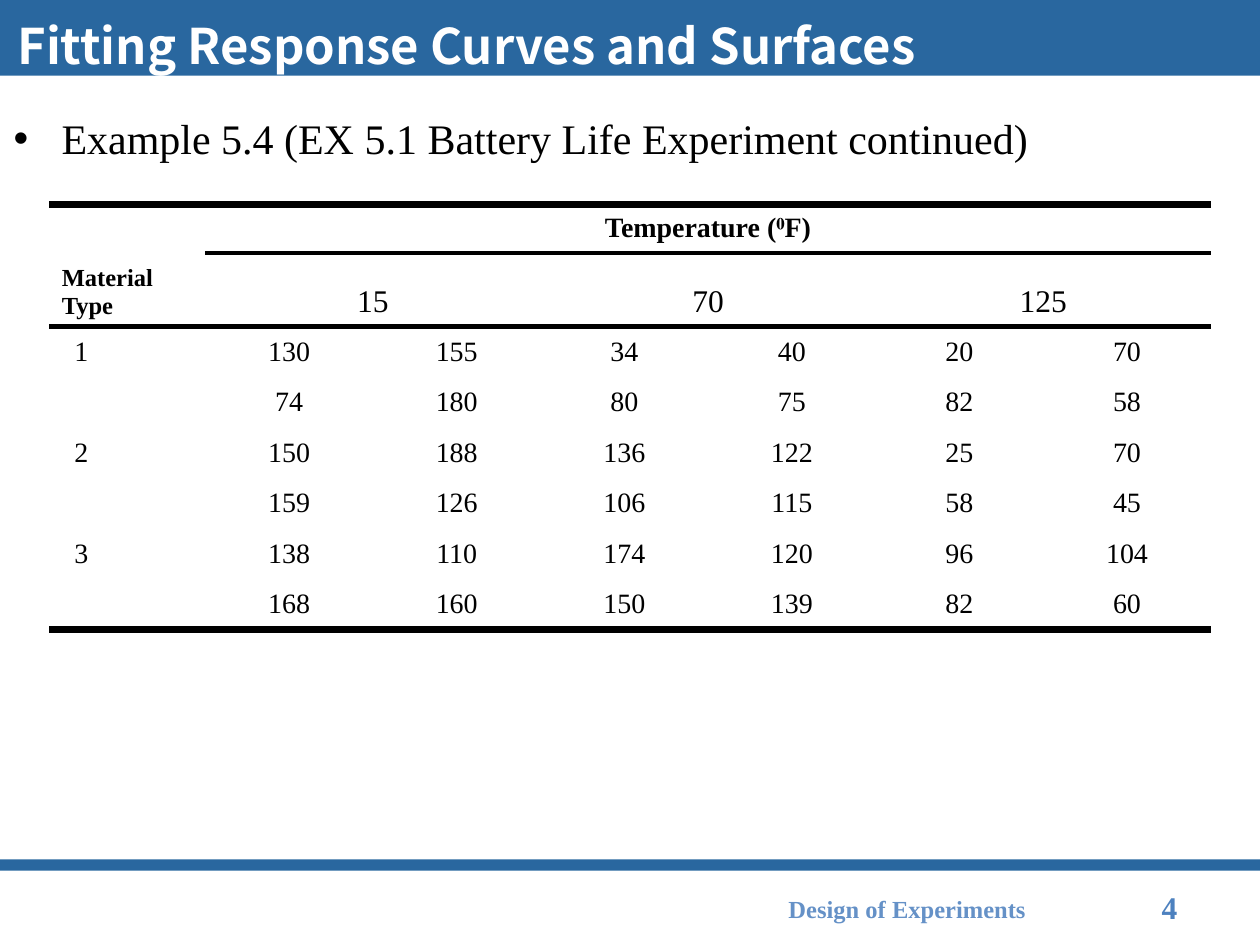
from lxml import etree
from pptx import Presentation
from pptx.dml.color import RGBColor
from pptx.enum.shapes import MSO_SHAPE
from pptx.enum.text import MSO_ANCHOR, PP_ALIGN
from pptx.oxml.ns import qn
from pptx.util import Inches, Pt

RECTANGLE = MSO_SHAPE.RECTANGLE
LEFT, CENTER = PP_ALIGN.LEFT, PP_ALIGN.CENTER
TOP, MIDDLE, BOTTOM = MSO_ANCHOR.TOP, MSO_ANCHOR.MIDDLE, MSO_ANCHOR.BOTTOM

# Content
TITLE = "Fitting Response Curves and Surfaces"
EXAMPLE = "Example 5.4 (EX 5.1 Battery Life Experiment continued)"
FOOTER = "Design of Experiments"
PAGE_NUMBER = "4"
ROW_HEADING = ["Material", "Type"]
COLUMN_HEADING = "Temperature (⁰F)"
TEMPERATURES = ["15", "70", "125"]
BATTERY_LIFE = [
    ["1", 130, 155, 34, 40, 20, 70],
    ["", 74, 180, 80, 75, 82, 58],
    ["2", 150, 188, 136, 122, 25, 70],
    ["", 159, 126, 106, 115, 58, 45],
    ["3", 138, 110, 174, 120, 96, 104],
    ["", 168, 160, 150, 139, 82, 60],
]

THEME = {
    "serif": "Times New Roman", "sans": "Noto Sans CJK KR",
    "bar": "29679F", "footer": "6591C7", "number": "4D81BF",
    "ink": "000000", "paper": "FFFFFF",
    "title": 28, "body": 24, "large": 18, "data": 16, "small": 14,
}

# Table geometry
TABLE_LEFT, TABLE_TOP = 0.39, 1.62
COLUMN_WIDTHS = [1.24] + [1.33] * 6
ROW_HEIGHTS = [0.36, 0.55] + [0.4] * len(BATTERY_LIFE)
RULES = {0: 4.5, 1: 3, 2: 3, len(ROW_HEIGHTS): 4.5}  # row edge: points


def color(name):
    return RGBColor.from_string(THEME[name])


def write(frame, lines, size, ink="ink", font="serif", bold=False, align=LEFT, anchor=TOP):
    frame.word_wrap = True
    frame.vertical_anchor = anchor
    for index, line in enumerate(lines):
        para = frame.paragraphs[0] if index == 0 else frame.add_paragraph()
        para.alignment = align
        span = para.add_run()
        span.text = line
        span.font.name = THEME[font]
        span.font.size = Pt(THEME[size])
        span.font.bold = bold
        span.font.color.rgb = color(ink)


def add_text(page, bounds, line, size, **style):
    box = page.shapes.add_textbox(*map(Inches, bounds))
    write(box.text_frame, [line], size, **style)
    return box.text_frame


def add_block(page, bounds, fill):
    block = page.shapes.add_shape(RECTANGLE, *map(Inches, bounds))
    block.shadow.inherit = False
    block.fill.solid()
    block.fill.fore_color.rgb = color(fill)
    block.line.fill.background()
    return block


def add_bullet(para, indent):
    properties = para._p.get_or_add_pPr()
    properties.set("marL", str(Inches(indent)))
    properties.set("indent", str(-Inches(indent)))
    etree.SubElement(properties, qn("a:buFont"), typeface="Arial")
    etree.SubElement(properties, qn("a:buChar"), char="•")


def set_borders(cell, top, bottom):
    properties = cell._tc.get_or_add_tcPr()
    sides = [("a:lnL", None), ("a:lnR", None), ("a:lnT", top), ("a:lnB", bottom)]
    for position, (side, width) in enumerate(sides):
        line = etree.Element(qn(side), w=str(Pt(width or 0)))
        if width:
            fill = etree.SubElement(line, qn("a:solidFill"))
            etree.SubElement(fill, qn("a:srgbClr"), val=THEME["ink"])
        else:
            etree.SubElement(line, qn("a:noFill"))
        properties.insert(position, line)


def set_margins(cell, side, vertical):
    cell.margin_left = cell.margin_right = Inches(side)
    cell.margin_top = cell.margin_bottom = Inches(vertical)


def add_battery_table(page):
    table = page.shapes.add_table(
        len(ROW_HEIGHTS), len(COLUMN_WIDTHS), Inches(TABLE_LEFT), Inches(TABLE_TOP),
        Inches(sum(COLUMN_WIDTHS)), Inches(sum(ROW_HEIGHTS))).table
    table.first_row = table.horz_banding = False
    for column, width in zip(table.columns, COLUMN_WIDTHS):
        column.width = Inches(width)
    for row, height in zip(table.rows, ROW_HEIGHTS):
        row.height = Inches(height)

    # Fills and rules; the rule under the column heading skips the first column
    for r in range(len(ROW_HEIGHTS)):
        for c in range(len(COLUMN_WIDTHS)):
            cell = table.cell(r, c)
            cell.fill.solid()
            cell.fill.fore_color.rgb = color("paper")
            set_margins(cell, 0.1, 0)
            top, bottom = [None if c == 0 and edge == 1 else RULES.get(edge)
                           for edge in (r, r + 1)]
            set_borders(cell, top, bottom)

    def fill_cell(r, c, lines, size, anchor=MIDDLE, last=None, **style):
        cell = table.cell(r, c)
        if last:
            cell.merge(table.cell(*last))
        set_margins(cell, 0.1, 0.06)
        write(cell.text_frame, lines, size, **style)
        cell.vertical_anchor = anchor
        return cell

    # Headings
    fill_cell(0, 0, ROW_HEADING, "small", BOTTOM, last=(1, 0), bold=True)
    fill_cell(0, 1, [COLUMN_HEADING], "data", last=(0, 6), bold=True, align=CENTER)
    for index, temperature in enumerate(TEMPERATURES):
        c = 1 + 2 * index
        fill_cell(1, c, [temperature], "large", BOTTOM, last=(1, c + 1), align=CENTER)

    # Measurements
    for r, (material, *lives) in enumerate(BATTERY_LIFE, start=2):
        if material:
            fill_cell(r, 0, [material], "data").margin_left = Inches(0.2)
        for c, life in enumerate(lives, start=1):
            fill_cell(r, c, [str(life)], "data", align=CENTER)


def main():
    deck = Presentation()
    deck.slide_width, deck.slide_height = Inches(10), Inches(7.5)
    page = deck.slides.add_slide(deck.slide_layouts[6])

    # Page number and bars
    number = add_text(page, (8.94, 7, 1.02, 0.4), PAGE_NUMBER, "large",
                      ink="number", bold=True)
    number.margin_left = Inches(0.28)
    add_block(page, (0, 0, 10, 0.6), "bar")
    add_block(page, (0, 6.82, 10, 0.09), "bar")

    # Title and footer
    add_text(page, (0.04, 0.13, 9.84, 0.46), TITLE, "title", ink="paper",
             font="sans", bold=True, anchor=MIDDLE)
    footer = add_block(page, (5.94, 7.06, 2.52, 0.31), "paper")
    write(footer.text_frame, [FOOTER], "small", ink="footer", bold=True,
          align=CENTER, anchor=MIDDLE)

    # Example line
    body = add_text(page, (0.01, 0.76, 9.99, 6.06), EXAMPLE, "body")
    para = body.paragraphs[0]
    para.line_spacing = 1.22
    para.space_before = Pt(0.2 * THEME["body"])
    add_bullet(para, 0.38)

    add_battery_table(page)
    deck.save("out.pptx")


if __name__ == "__main__":
    main()
